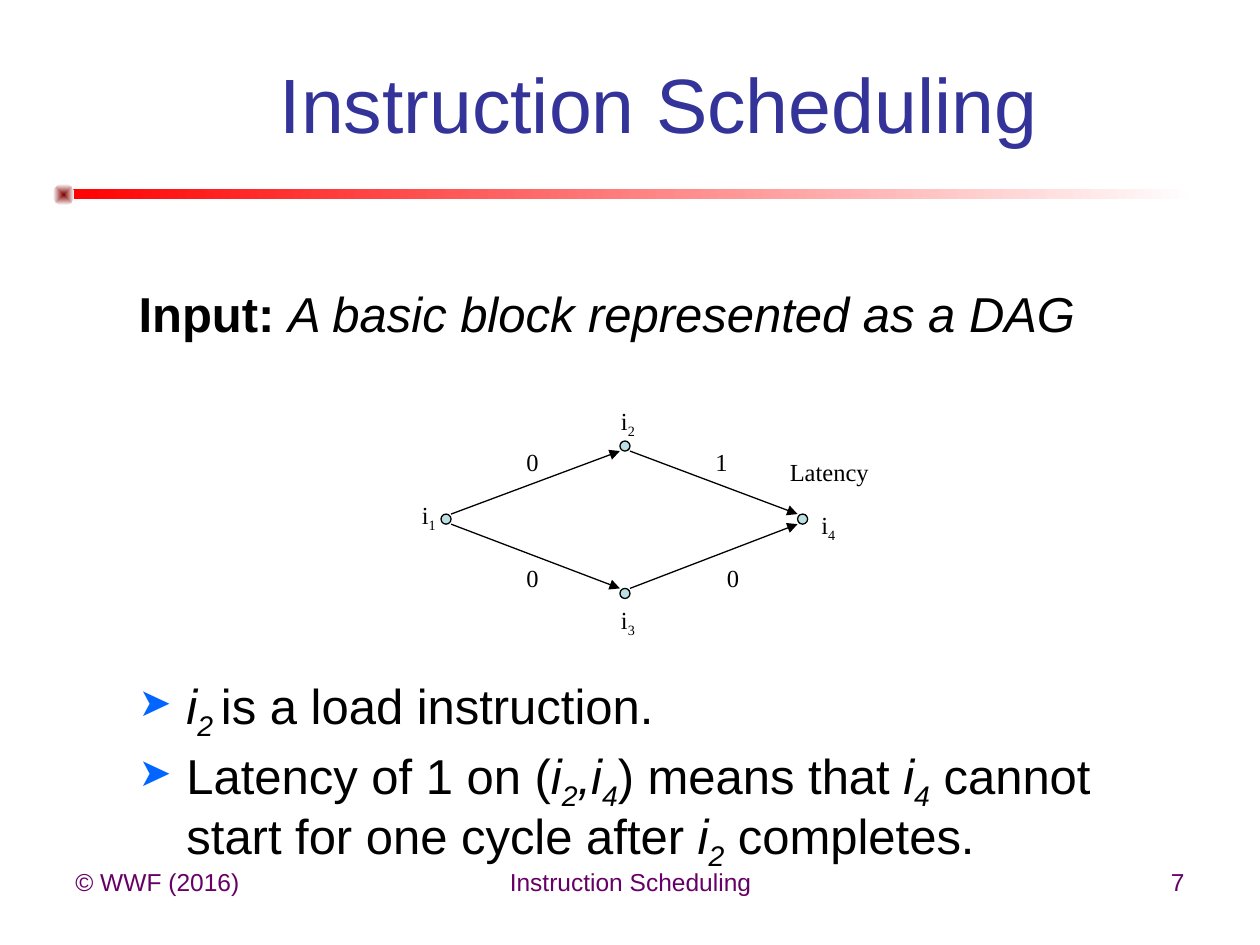
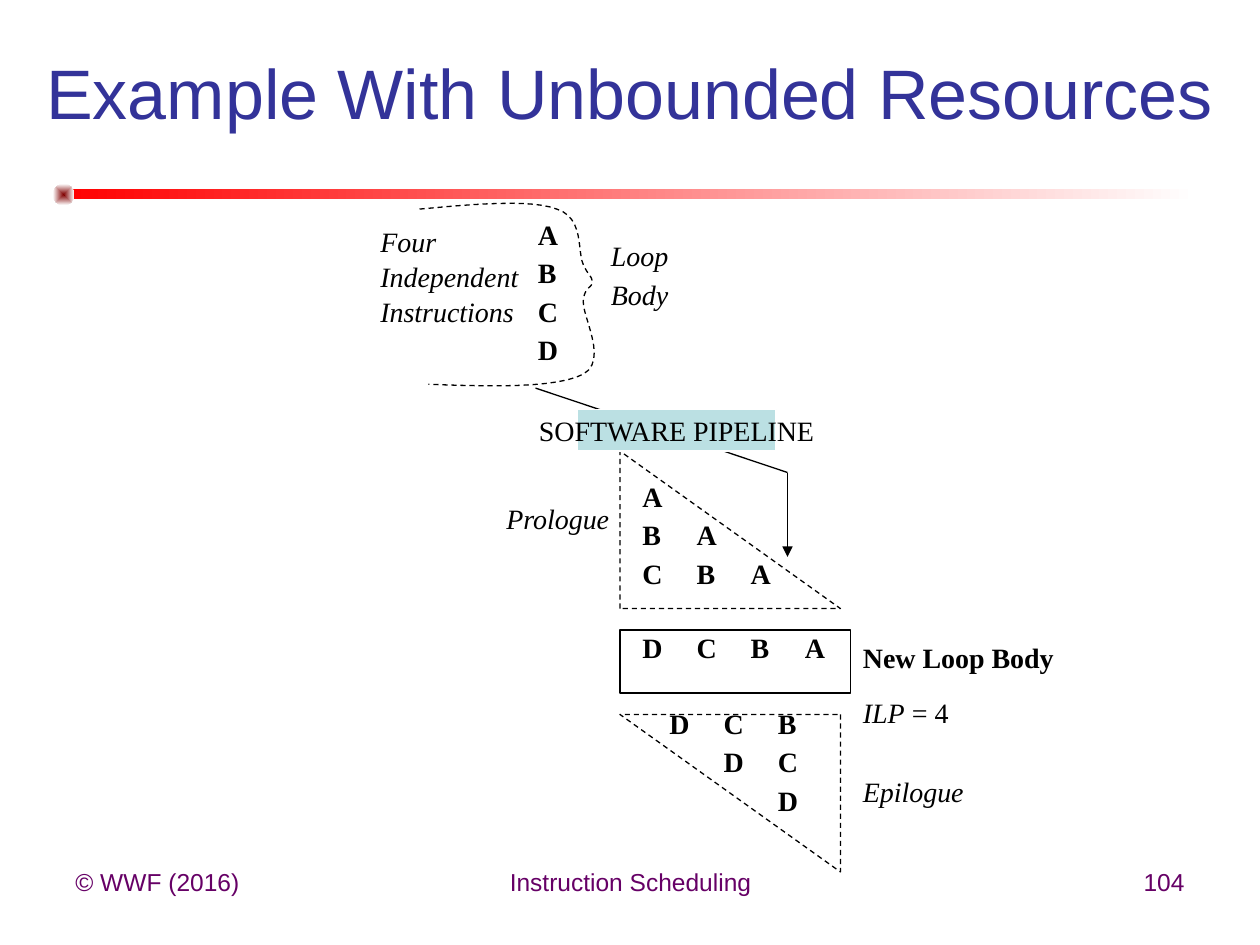
from lxml import etree
from pptx import Presentation
from pptx.dml.color import RGBColor
from pptx.enum import dml, shapes, text
from pptx.oxml import parse_xml
from pptx.oxml.ns import nsdecls, qn
from pptx.util import Inches, Pt

# ---- Shared look ----
COLORS = {
    "title": "333399", "footer": "660066", "ink": "000000", "paper": "FFFFFF",
    "band": "FF0000", "knob": "800000", "bullet": "0066FF", "accent": "BBE0E3",
}
SANS, SERIF = "Arial", "Times New Roman"
LEFT, CENTER, RIGHT = text.PP_ALIGN.LEFT, text.PP_ALIGN.CENTER, text.PP_ALIGN.RIGHT
FOOTER_TOP, FOOTER_HEIGHT = 6.83, 0.52

# ---- Scheduling slide: runs are (text, style), b bold, i italic, s subscript ----
INPUT_LINE = [("Input: ", "b"), ("A basic block represented as a DAG", "i")]
BULLETS = [
    [("i", "i"), ("2 ", "is"), ("is a load instruction.", "")],
    [("Latency of 1 on (", ""), ("i", "i"), ("2", "is"), (",i", "i"), ("4", "is"),
     (") means that ", ""), ("i", "i"), ("4", "is"),
     (" cannot start for one cycle after ", ""), ("i", "i"), ("2", "is"),
     (" completes.", "")],
]
DOT = 0.08
NODES = {  # number: (dot left, dot top, label left, label top)
    "1": (3.5, 4.08, 3.25, 3.92), "2": (4.92, 3.5, 4.83, 3.17),
    "3": (4.92, 4.67, 4.83, 4.75), "4": (6.33, 4.08, 6.42, 4.0),
}
EDGES = [  # from, to, latency, label left, label top
    ("1", "2", "0", 4.08, 3.5), ("1", "3", "0", 4.08, 4.42),
    ("3", "4", "0", 5.67, 4.42), ("2", "4", "1", 5.58, 3.5),
]

# ---- Pipeline slide ----
ROW, COLUMN, GRID_LEFT, GRID_TOP = 0.3, 0.43, 5.0, 3.83
STAGES = [  # first row, shift in columns, lines
    (0, 0, ["A", "B\tA", "C\tB\tA"]),
    (4, 0, ["D\tC\tB\tA"]),
    (6, 0.5, ["D\tC\tB", "\tD\tC", "\t\tD"]),
]
NOTES = [  # box, lines, style, line spacing, space before
    ((4.17, 1.75, 0.75, 1.25), ["A", "B", "C", "D"], "b", 0.7, 8.5),
    ((2.92, 1.83, 1.92, 0.85), ["Four", "Independent", "Instructions"], "i", 0.6, 8.5),
    ((4.75, 1.92, 2.92, 0.61), ["Loop", "Body"], "i", 0.7, 8.5),
    ((3.92, 4.0, 2.17, 0.29), ["Prologue"], "i", 0.7, 0),
    ((6.75, 5.17, 2.58, 0.69),
     [[("New Loop Body", "b")], [("ILP", "i"), (" = 4", "")]], "", 0.4, 24),
    ((6.75, 6.17, 2.92, 0.29), ["Epilogue"], "i", 0.7, 0),
]
BRACE_START = (3.33, 1.66)
BRACE_CURVES = [  # two control points and an end point each
    ((3.77, 1.62), (4.21, 1.58), (4.42, 1.66)),
    ((4.64, 1.73), (4.58, 2.0), (4.63, 2.1)),
    ((4.67, 2.19), (4.7, 2.19), (4.7, 2.24)),
    ((4.7, 2.29), (4.64, 2.27), (4.63, 2.39)),
    ((4.62, 2.51), (4.83, 2.86), (4.63, 2.97)),
    ((4.42, 3.08), (3.91, 3.07), (3.4, 3.05)),
]


def rgb(name):
    return RGBColor.from_string(COLORS[name])


def inches(*lengths):
    return [Inches(length) for length in lengths]


# ---- Text ----
def write_runs(paragraph, runs, size, font=SERIF, color="ink"):
    for words, style in runs:
        run = paragraph.add_run()
        run.text = words
        run.font.size, run.font.name = Pt(size), font
        run.font.bold, run.font.italic = "b" in style, "i" in style
        run.font.color.rgb = rgb(color)
        if "s" in style:
            run._r.get_or_add_rPr().set("baseline", "-25000")


def write_lines(frame, lines, size, style="", spacing=1.0, before=0, align=LEFT,
                font=SERIF, color="ink", tabs=()):
    for index, line in enumerate(lines):
        paragraph = frame.paragraphs[0] if index == 0 else frame.add_paragraph()
        if tabs:
            tab_list = etree.SubElement(paragraph._p.get_or_add_pPr(), qn("a:tabLst"))
            for tab in tabs:
                etree.SubElement(tab_list, qn("a:tab"), pos=str(Inches(tab)), algn="l")
        paragraph.alignment, paragraph.line_spacing = align, spacing
        paragraph.space_before = Pt(before if index else 0)
        runs = [(line, style)] if isinstance(line, str) else line
        write_runs(paragraph, runs, size, font, color)


def add_label(slide, box, lines, size, **options):
    frame = slide.shapes.add_textbox(*inches(*box)).text_frame
    frame.word_wrap = True
    write_lines(frame, lines, size, **options)


# ---- Shapes ----
def style_outline(shape, color="ink", dashed=False):
    shape.line.color.rgb, shape.line.width = rgb(color), Pt(0.75)
    if dashed:
        shape.line.dash_style = dml.MSO_LINE.DASH


def add_outlined(slide, kind, box, fill=None, line="ink", dashed=False):
    shape = slide.shapes.add_shape(kind, *inches(*box))
    shape.shadow.inherit = False
    if fill:
        shape.fill.solid()
        shape.fill.fore_color.rgb = rgb(fill)
    else:
        shape.fill.background()
    style_outline(shape, line, dashed)
    return shape


def add_gradient(slide, kind, box, color):
    shape = slide.shapes.add_shape(kind, *inches(*box))
    shape.shadow.inherit = False
    shape.line.fill.background()
    shape.fill.gradient()
    shape.fill.gradient_angle = 0
    for stop, name in zip(shape.fill.gradient_stops, (color, "paper")):
        stop.color.rgb = rgb(name)
    return shape


def add_line(slide, start, end, arrow=True):
    line = slide.shapes.add_connector(shapes.MSO_CONNECTOR.STRAIGHT,
                                      *inches(*start, *end))
    style_outline(line)
    if arrow:
        etree.SubElement(line.line._get_or_add_ln(), qn("a:tailEnd"), type="triangle")
    etree.SubElement(line._element.spPr, qn("a:effectLst"))


# ---- Slide frame: band, footer, title ----
def add_slide(presentation, layout, title, title_box, title_size, number):
    slide = presentation.slides.add_slide(presentation.slide_layouts[layout])
    add_gradient(slide, shapes.MSO_SHAPE.RECTANGLE, (0.5, 1.5, 9, 0.08), "band")
    knob = add_gradient(slide, shapes.MSO_SHAPE.OVAL, (0.42, 1.46, 0.17, 0.17), "knob")
    linear = knob._element.spPr.find(".//" + qn("a:lin"))
    linear.getparent().replace(linear, parse_xml(
        f'<a:path {nsdecls("a")} path="shape"><a:fillToRect l="50000" t="50000" '
        'r="50000" b="50000"/></a:path>'))

    footers = [(0.5, 2.33, "© WWF (2016)", LEFT),
               (3.42, 3.17, "Instruction Scheduling", CENTER),
               (7.17, 2.33, number, RIGHT)]
    for left, width, words, align in footers:
        add_label(slide, (left, FOOTER_TOP, width, FOOTER_HEIGHT), [words], 14,
                  align=align, font=SANS, color="footer")

    place(slide.shapes.title, title_box)
    frame = slide.shapes.title.text_frame
    frame.vertical_anchor = text.MSO_ANCHOR.MIDDLE
    write_lines(frame, [title], title_size, align=CENTER, font=SANS, color="title")
    return slide


def place(placeholder, box):
    placeholder.left, placeholder.top, placeholder.width, placeholder.height = inches(*box)
    placeholder.text_frame.word_wrap = True
    placeholder.text_frame.auto_size = text.MSO_AUTO_SIZE.NONE


def set_bullet(paragraph, bulleted):
    properties = paragraph._p.get_or_add_pPr()
    properties.set("marL", str(Inches(0.38)))
    properties.set("indent", str(-Inches(0.38)))
    if not bulleted:
        etree.SubElement(properties, qn("a:buNone"))
        return
    color = etree.SubElement(properties, qn("a:buClr"))
    etree.SubElement(color, qn("a:srgbClr"), val=COLORS["bullet"])
    etree.SubElement(properties, qn("a:buSzPct"), val="80000")
    etree.SubElement(properties, qn("a:buChar"), char="➤")


# ---- Slides ----
def build_scheduling(presentation):
    slide = add_slide(presentation, 1, "Instruction Scheduling",
                      (1.16, 0.55, 8.14, 0.53), 44, "7")
    body = slide.placeholders[1]
    place(body, (1, 2.25, 8.33, 4.88))
    frame = body.text_frame
    # The space before the first bullet leaves room for the graph
    for runs, before in zip([INPUT_LINE, *BULLETS], (0, 190.5, 5.6)):
        paragraph = frame.add_paragraph() if before else frame.paragraphs[0]
        set_bullet(paragraph, bulleted=before > 0)
        paragraph.line_spacing, paragraph.space_before = 0.9, Pt(before)
        write_runs(paragraph, runs, 28, SANS)

    # Graph: edges run from corner to corner of the dots
    for source, target, latency, left, top in EDGES:
        x1, y1 = NODES[source][:2]
        x2, y2 = NODES[target][:2]
        rising = y2 < y1
        add_line(slide, (x1 + DOT, y1 if rising else y1 + DOT),
                 (x2, y2 + DOT if rising else y2))
        add_label(slide, (left, top, 0.42, 0.33), [latency], 14)
    for number, (x, y, left, top) in NODES.items():
        add_outlined(slide, shapes.MSO_SHAPE.OVAL, (x, y, DOT, DOT), "accent")
        add_label(slide, (left, top, 0.42, 0.33), [[("i", ""), (number, "s")]], 14)
    add_label(slide, (6.17, 3.58, 1.33, 0.33), ["Latency"], 14)


def curve_points(start, curves, steps=12):
    for control1, control2, end in curves:
        for step in range(1, steps + 1):
            t = step / steps
            weights = ((1 - t) ** 3, 3 * t * (1 - t) ** 2, 3 * t * t * (1 - t), t ** 3)
            corners = (start, control1, control2, end)
            yield tuple(Inches(sum(weight * corner[axis]
                                   for weight, corner in zip(weights, corners)))
                        for axis in (0, 1))
        start = end


def build_pipeline(presentation):
    slide = add_slide(presentation, 5, "Example With Unbounded Resources",
                      (0.17, 0.33, 9.65, 0.79), 40, "104")
    # Brace around the loop body
    builder = slide.shapes.build_freeform(*inches(*BRACE_START))
    builder.add_line_segments(list(curve_points(BRACE_START, BRACE_CURVES)), close=False)
    brace = builder.convert_to_shape()
    brace.shadow.inherit = False
    brace.fill.background()
    style_outline(brace, dashed=True)

    # Arrow and outlines of the three stages
    add_line(slide, (4.25, 3.08), (6.25, 3.75), arrow=False)
    add_line(slide, (6.25, 3.75), (6.25, 4.42))
    triangle = shapes.MSO_SHAPE.RIGHT_TRIANGLE
    add_outlined(slide, triangle, (4.92, 3.58, 1.75, 1.25), dashed=True)
    add_outlined(slide, shapes.MSO_SHAPE.RECTANGLE, (4.92, 5, 1.83, 0.5))
    add_outlined(slide, triangle, (4.92, 5.67, 1.75, 1.25), dashed=True).rotation = 180

    # Step name
    step = add_outlined(slide, shapes.MSO_SHAPE.RECTANGLE, (4.58, 3.25, 1.58, 0.33),
                        "accent", "paper")
    step.text_frame.word_wrap = False
    step.text_frame.vertical_anchor = text.MSO_ANCHOR.MIDDLE
    write_lines(step.text_frame, ["SOFTWARE PIPELINE"], 16, align=CENTER)

    # Instructions on their grid, then the notes
    for row, shift, lines in STAGES:
        box = (GRID_LEFT + shift * COLUMN, GRID_TOP + row * ROW, 1.75, ROW * len(lines))
        add_label(slide, box, lines, 16, style="b", spacing=0.7, before=8.5,
                  tabs=[COLUMN * column for column in (1, 2, 3)])
    for box, lines, style, spacing, before in NOTES:
        add_label(slide, box, lines, 16, style=style, spacing=spacing, before=before)


def main():
    presentation = Presentation()
    presentation.slide_width, presentation.slide_height = inches(10, 7.5)
    build_scheduling(presentation)
    build_pipeline(presentation)
    presentation.save("out.pptx")


if __name__ == "__main__":
    main()
